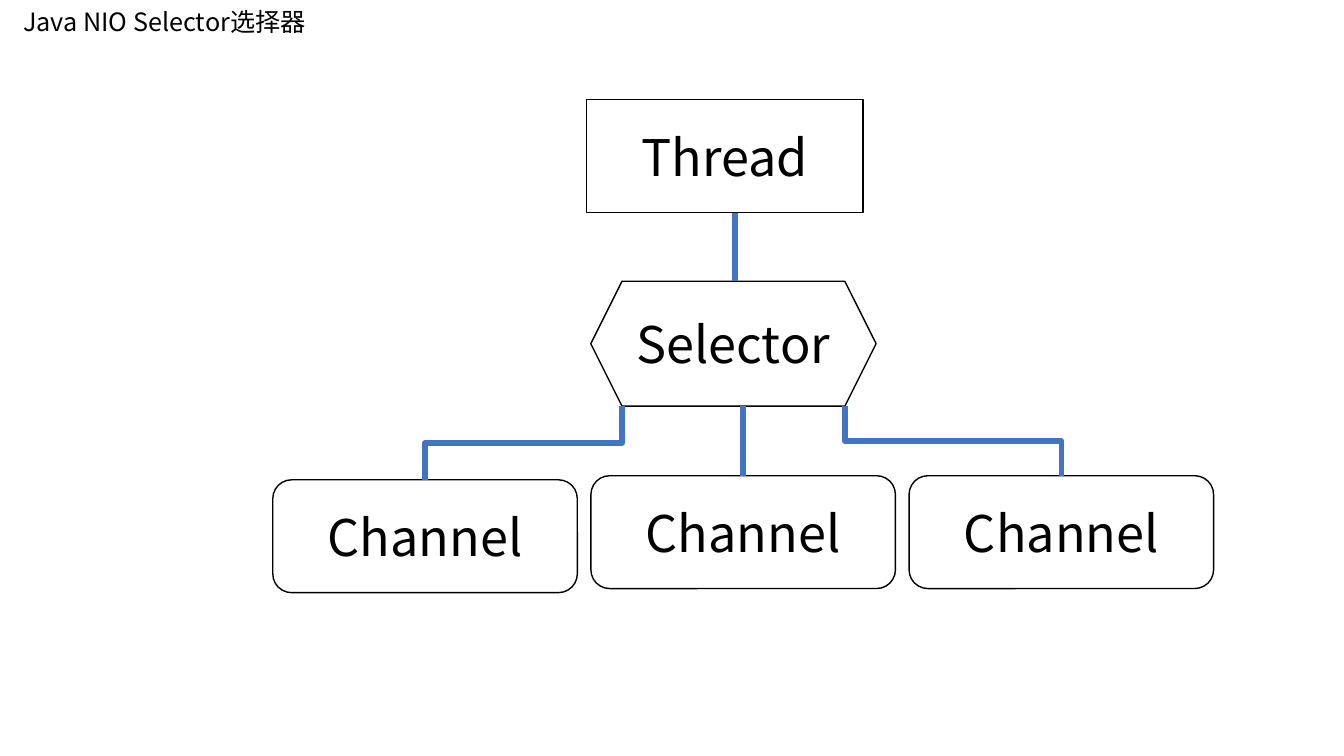
import pptx
import pptx.util
import pptx.dml.color
import pptx.enum.shapes
import pptx.enum.text
import pptx.oxml.ns
import lxml.etree

BLACK = pptx.dml.color.RGBColor(0x00, 0x00, 0x00)
WHITE = pptx.dml.color.RGBColor(0xFF, 0xFF, 0xFF)
BLUE = pptx.dml.color.RGBColor(0x44, 0x72, 0xC4)
FORM = pptx.enum.shapes.MSO_SHAPE
LINK = pptx.enum.shapes.MSO_CONNECTOR
ANCHOR = pptx.enum.text.MSO_ANCHOR
ALIGN = pptx.enum.text.PP_ALIGN


class Board:
    font = "Noto Sans CJK SC"

    def __init__(self, deck):
        self.wide, self.high = deck.slide_width, deck.slide_height
        self.slide = deck.slides.add_slide(deck.slide_layouts[5])

    def x(self, share):
        return round(self.wide * share / 100)

    def y(self, share):
        return round(self.high * share / 100)

    def label(self, shape, text, size, align, anchor):
        frame = shape.text_frame
        frame.word_wrap = True
        frame.vertical_anchor = anchor
        para = frame.paragraphs[0]
        para.alignment = align
        run = para.add_run()
        run.text = text
        run.font.size = pptx.util.Pt(size)
        run.font.name = self.font
        run.font.color.rgb = BLACK
        props = run.font._element
        east = lxml.etree.SubElement(props, pptx.oxml.ns.qn("a:ea"))
        east.set("typeface", self.font)

    def title(self, text, left, top, width, height):
        shape = self.slide.shapes.title
        shape.left, shape.top = self.x(left), self.y(top)
        shape.width, shape.height = self.x(width), self.y(height)
        self.label(shape, text, 18, ALIGN.LEFT, ANCHOR.TOP)
        shape.text_frame.auto_size = pptx.enum.text.MSO_AUTO_SIZE.SHAPE_TO_FIT_TEXT

    def node(self, form, text, left, top, width, height):
        shape = self.slide.shapes.add_shape(
            form, self.x(left), self.y(top), self.x(width), self.y(height))
        shape.shadow.inherit = False
        shape.fill.solid()
        shape.fill.fore_color.rgb = WHITE
        shape.line.color.rgb = BLACK
        shape.line.width = pptx.util.Pt(1)
        self.label(shape, text, 36, ALIGN.CENTER, ANCHOR.MIDDLE)
        return shape

    def join(self, kind, *ends):
        link = self.slide.shapes.add_connector(kind, *ends)
        link.line.color.rgb = BLUE
        link.line.width = pptx.util.Pt(4)
        lxml.etree.SubElement(link._element.spPr, pptx.oxml.ns.qn("a:effectLst"))
        return link

    def drop(self, x, top, end):
        return self.join(LINK.STRAIGHT, self.x(x), self.y(top), self.x(x), self.y(end))

    def bend(self, start, top, stop, end):
        left, right = self.x(start), self.x(stop)
        head, foot = self.y(top), self.y(end)
        mid, level = (left + right) // 2, (head + foot) // 2
        side = 1 if right < left else -1
        half, rise = side * (foot - head) // 2, abs(right - left) // 2
        link = self.join(LINK.ELBOW, mid - half, level - rise, mid + half, level + rise)
        turn = 90 if side > 0 else 270
        link._element.spPr.xfrm.set("rot", str(turn * 60000))


def main():
    deck = pptx.Presentation()
    deck.slide_width = pptx.util.Inches(13.33)
    deck.slide_height = pptx.util.Inches(7.5)
    board = Board(deck)
    board.title("Java NIO Selector选择器", 0.98, 0.13, 28.5, 5.33)
    board.node(FORM.RECTANGLE, "Thread", 43.66, 13.2, 20.55, 14.93)
    board.node(FORM.HEXAGON, "Selector", 43.96, 37.2, 21.23, 16.53)

    first, step, width = 20.3, 23.67, 22.66
    tops = [63.47, 62.93, 62.93]
    nodes = [board.node(FORM.ROUNDED_RECTANGLE, "Channel",
                        first + step * i, top, width, 14.93)
             for i, top in enumerate(tops)]
    mids = [first + step * i + width / 2 for i in range(len(tops))]

    base = 53.73
    board.drop(54.69, 28.13, 37.2)
    board.bend(46.29, base, mids[0], tops[0])
    board.bend(62.87, base, mids[2], tops[2])
    board.drop(mids[1], base, tops[1]).end_connect(nodes[1], 0)
    deck.save("out.pptx")


if __name__ == "__main__":
    main()
